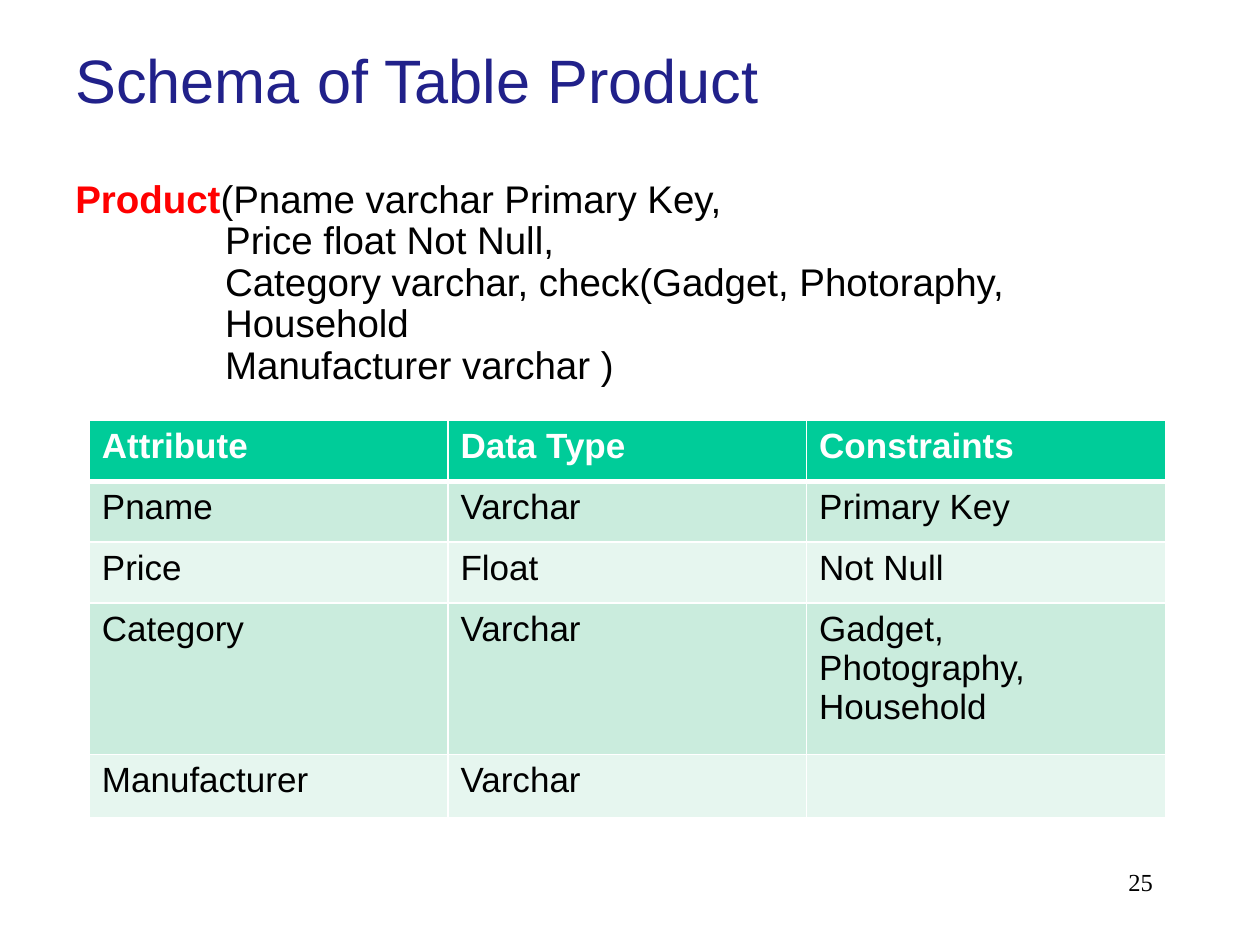
import pptx
import pptx.dml.color
import pptx.enum.text
import pptx.oxml
import pptx.oxml.ns
import pptx.util

Cm = pptx.util.Cm
Pt = pptx.util.Pt
ALIGN = pptx.enum.text.PP_ALIGN
ANCHOR = pptx.enum.text.MSO_ANCHOR


def rgb(value):
    return pptx.dml.color.RGBColor.from_string(value)


class Deck:
    sans = "Arial"
    serif = "Times New Roman"
    navy = "21218A"
    red = "FF0000"
    black = "000000"
    white = "FFFFFF"
    header = "00CC99"
    bands = ("CAECDD", "E6F6EF")

    def __init__(self, prs):
        self.slide = prs.slides.add_slide(prs.slide_layouts[6])

    def style(self, font, size, color, name=None, bold=False):
        font.name = name or self.sans
        font.size = Pt(size)
        font.bold = bold
        font.color.rgb = rgb(color)

    def box(self, x, y, w, h, anchor=ANCHOR.TOP):
        sp = self.slide.shapes.add_textbox(Cm(x), Cm(y), Cm(w), Cm(h))
        tf = sp.text_frame
        tf.word_wrap = True
        tf.vertical_anchor = anchor
        return tf

    def label(self, text, at, size, color, name=None, anchor=ANCHOR.TOP, align=ALIGN.LEFT):
        p = self.box(*at, anchor).paragraphs[0]
        p.text = text
        p.alignment = align
        self.style(p.font, size, color, name)

    def declaration(self, keyword, lines, at, size, indent):
        tf = self.box(*at)
        for i, line in enumerate(lines):
            p = tf.add_paragraph() if i else tf.paragraphs[0]
            p.line_spacing = 0.9
            self.style(p.font, size, self.black)
            if i:
                p._p.get_or_add_pPr().set("marL", str(Cm(indent)))
            else:
                r = p.add_run()
                r.text = keyword
                r.font.bold = True
                r.font.color.rgb = rgb(self.red)
            p.add_run().text = line

    def borders(self, cell, widths):
        tcPr = cell._tc.get_or_add_tcPr()
        for i, (side, width) in enumerate(widths.items()):
            tcPr.insert(i, pptx.oxml.parse_xml(
                f'<a:ln{side} {pptx.oxml.ns.nsdecls("a")} w="{Pt(width)}">'
                f'<a:solidFill><a:srgbClr val="{self.white}"/></a:solidFill></a:ln{side}>'))

    def table(self, rows, x, y, col_width, heights, size):
        cols = len(rows[0])
        table = self.slide.shapes.add_table(
            len(rows), cols, Cm(x), Cm(y), Cm(col_width * cols), Cm(sum(heights))).table
        for col in table.columns:
            col.width = Cm(col_width)
        for i, (row, height) in enumerate(zip(rows, heights)):
            table.rows[i].height = Cm(height)
            for j, text in enumerate(row):
                cell = table.cell(i, j)
                cell.text = text
                cell.fill.solid()
                cell.fill.fore_color.rgb = rgb(self.bands[(i - 1) % 2] if i else self.header)
                self.style(cell.text_frame.paragraphs[0].font, size,
                           self.black if i else self.white, bold=i == 0)
                self.borders(cell, {"L": 1, "R": 1, "T": 3 if i == 1 else 1, "B": 1 if i else 3})


def main():
    prs = pptx.Presentation()
    prs.slide_width, prs.slide_height = Cm(25.4), Cm(19.05)
    deck = Deck(prs)
    deck.label("Schema of Table Product", (1.27, 0.43, 22.86, 2.34), 35, deck.navy,
               anchor=ANCHOR.MIDDLE)
    deck.declaration("Product", [
        "(Pname varchar Primary Key,",
        "Price float Not Null,",
        "Category varchar, check(Gadget, Photoraphy,",
        "Household",
        "Manufacturer varchar )",
    ], (1.27, 3.5, 24, 4.4), 22, 3.02)
    deck.table([
        ("Attribute", "Data Type", "Constraints"),
        ("Pname", "Varchar", "Primary Key"),
        ("Price", "Float", "Not Null"),
        ("Category", "Varchar", "Gadget, Photography, Household"),
        ("Manufacturer", "Varchar", ""),
    ], 1.8, 8.47, 7.23, (1.23, 1.23, 1.23, 3.05, 1.27), 20)
    deck.label("25", (18.21, 17.35, 5.28, 1.27), 14, deck.black, deck.serif, align=ALIGN.RIGHT)
    prs.save("out.pptx")


if __name__ == "__main__":
    main()
